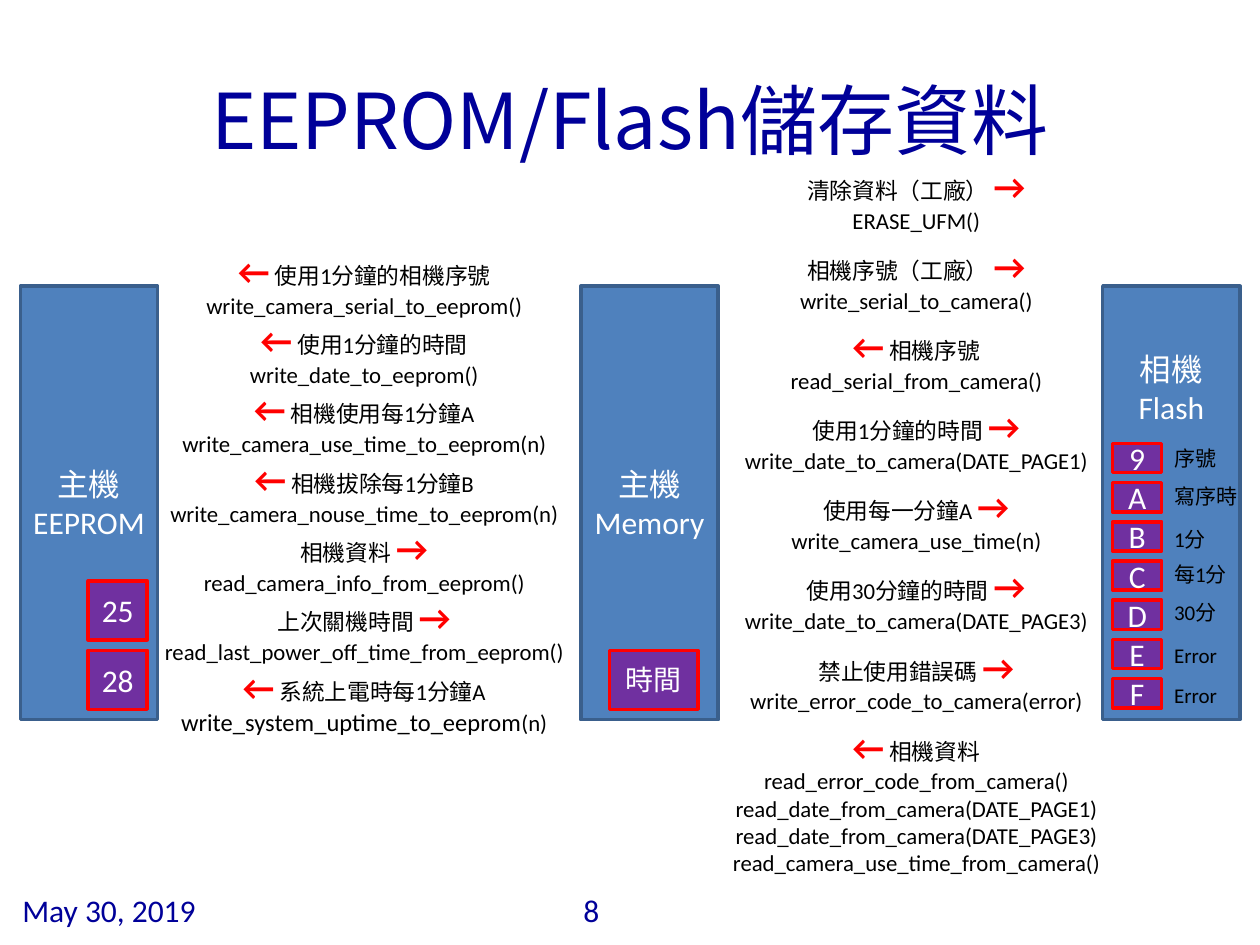
from dataclasses import dataclass

from lxml import etree
from pptx import Presentation
from pptx import util as u
from pptx.dml.color import RGBColor
from pptx.enum import shapes, text
from pptx.oxml import ns

CENTER, LEFT = text.PP_ALIGN.CENTER, text.PP_ALIGN.LEFT


@dataclass(frozen=True)
class Style:
    size: float
    color: str
    bold: bool = False
    font: str = "Calibri"


class Theme:
    title = Style(44, "000099", font="Noto Sans CJK SC")
    footer = Style(18, "000099")
    device = Style(18, "FFFFFF")
    small_device = Style(16, "FFFFFF")
    step = Style(13, "000000")
    large_step = Style(14, "000000")
    arrow = Style(20, "FF0000", bold=True)
    label = Style(12, "000000")
    device_fill, device_line = "4F81BD", "3A5F8C"
    cell_fill, cell_line = "7030A0", "FF0000"
    line_width = 2


class SlideBuilder:
    def __init__(self, slide, theme):
        self.slide = slide
        self.theme = theme

    def fill_frame(self, frame, lines, align, gaps=None):
        """Fill a frame; each line is a list of (words, style) runs."""
        for number, line in enumerate(lines):
            paragraph = frame.paragraphs[0] if number == 0 else frame.add_paragraph()
            paragraph.alignment = align
            if gaps and gaps[number]:
                paragraph.space_before = u.Pt(gaps[number])
            for words, style in line:
                run = paragraph.add_run()
                run.text = words
                run.font.name = style.font
                run.font.size = u.Pt(style.size)
                run.font.bold = style.bold
                run.font.color.rgb = RGBColor.from_string(style.color)
                east_asian = etree.SubElement(run.font._element, ns.qn("a:ea"))
                east_asian.set("typeface", style.font)

    def text(self, box, lines, align=LEFT, gaps=None, anchor=text.MSO_ANCHOR.TOP):
        frame = self.slide.shapes.add_textbox(*map(u.Cm, box)).text_frame
        frame.word_wrap = True
        frame.vertical_anchor = anchor
        self.fill_frame(frame, lines, align, gaps)

    def block(self, box, lines, style, fill, line, bottom=0.13):
        block = self.slide.shapes.add_shape(
            shapes.MSO_SHAPE.RECTANGLE, *map(u.Cm, box))
        block.shadow.inherit = False
        block.fill.solid()
        block.fill.fore_color.rgb = RGBColor.from_string(fill)
        block.line.color.rgb = RGBColor.from_string(line)
        block.line.width = u.Pt(self.theme.line_width)
        frame = block.text_frame
        frame.word_wrap = True
        frame.vertical_anchor = text.MSO_ANCHOR.MIDDLE
        frame.margin_left = frame.margin_right = 0
        frame.margin_bottom = u.Cm(bottom)
        self.fill_frame(frame, [[(words, style)] for words in lines], CENTER)

    def device(self, left, lines, bottom=0.13):
        self.block((left, 5.77, 2.77, 8.74), lines, self.theme.device,
                   self.theme.device_fill, self.theme.device_line, bottom)

    def cell(self, box, words, style):
        self.block(box, [words], style, self.theme.cell_fill, self.theme.cell_line)

    def steps(self, box, steps, gap=0):
        """List transfers: a caption with its arrow, then the calls it makes."""
        lines, gaps = [], []
        for arrow, caption, *calls in steps:
            pointer = (arrow, self.theme.arrow)
            gaps.append(gap if lines else 0)
            if arrow == "←":
                lines.append([pointer, (" " + caption, self.theme.step)])
            else:
                lines.append([(caption + " ", self.theme.step), pointer])
            for call in calls:
                lines.append(call if isinstance(call, list)
                             else [(call, self.theme.step)])
                gaps.append(0)
        self.text(box, lines, CENTER, gaps)


HOST_STEPS = [
    ("←", "使用1分鐘的相機序號", "write_camera_serial_to_eeprom()"),
    ("←", "使用1分鐘的時間", "write_date_to_eeprom()"),
    ("←", "相機使用每1分鐘A", "write_camera_use_time_to_eeprom(n)"),
    ("←", "相機拔除每1分鐘B", "write_camera_nouse_time_to_eeprom(n)"),
    ("→", "相機資料", "read_camera_info_from_eeprom()"),
    ("→", "上次關機時間", "read_last_power_off_time_from_eeprom()"),
    ("←", "系統上電時每1分鐘A",
     [("write_system_uptime_to_eeprom", Theme.large_step), ("(n)", Theme.step)]),
]
CAMERA_STEPS = [
    ("→", "清除資料（工廠）", "ERASE_UFM()"),
    ("→", "相機序號（工廠）", "write_serial_to_camera()"),
    ("←", "相機序號", "read_serial_from_camera()"),
    ("→", "使用1分鐘的時間", "write_date_to_camera(DATE_PAGE1)"),
    ("→", "使用每一分鐘A", "write_camera_use_time(n)"),
    ("→", "使用30分鐘的時間", "write_date_to_camera(DATE_PAGE3)"),
    ("→", "禁止使用錯誤碼", "write_error_code_to_camera(error)"),
    ("←", "相機資料", "read_error_code_from_camera()",
     "read_date_from_camera(DATE_PAGE1)", "read_date_from_camera(DATE_PAGE3)",
     "read_camera_use_time_from_camera()"),
]
# Flash page, its content, and the space above the content label
FLASH_PAGES = [("9", "序號", 0), ("A", "寫序時", 7.3), ("B", "1分", 9.8),
               ("C", "每1分", 6.1), ("D", "30分", 7.3), ("E", "Error", 9.8),
               ("F", "Error", 8.5)]


def main():
    deck = Presentation()
    deck.slide_width, deck.slide_height = u.Cm(25.4), u.Cm(19.05)
    theme = Theme()
    page = SlideBuilder(deck.slides.add_slide(deck.slide_layouts[6]), theme)

    # Title and footer
    page.text((1.27, 1.02, 22.86, 2.74), [[("EEPROM/Flash儲存資料", theme.title)]],
              CENTER, anchor=text.MSO_ANCHOR.MIDDLE)
    page.text((0.2, 17.83, 7.95, 1.02), [[("May 30, 2019", theme.footer)]])
    page.text((11.51, 17.83, 1.4, 1.02), [[("8", theme.footer)]])

    # Storage devices
    page.device(0.41, ["主機", "EEPROM"])
    page.device(11.71, ["主機", "Memory"])
    page.device(22.23, ["相機", "Flash"], bottom=4.78)

    # Transfers between the devices
    page.steps((2.97, 4.9, 8.74, 10.19), HOST_STEPS)
    page.steps((14.1, 3.2, 8.74, 15.04), CAMERA_STEPS, gap=6.1)

    # Cells in the host devices
    page.cell((1.78, 11.71, 1.19, 1.19), "25", theme.device)
    page.cell((1.78, 13.11, 1.19, 1.19), "28", theme.device)
    page.cell((12.29, 13.11, 1.78, 1.19), "時間", theme.small_device)

    # Flash pages and their labels
    for row, (name, _, _) in enumerate(FLASH_PAGES):
        page.cell((22.43, 8.94 + 0.79 * row, 0.99, 0.59), name, theme.device)
    page.text((23.42, 8.86, 1.98, 5.56),
              [[(label, theme.label)] for _, label, _ in FLASH_PAGES],
              gaps=[gap for _, _, gap in FLASH_PAGES])

    deck.save("out.pptx")


if __name__ == "__main__":
    main()
